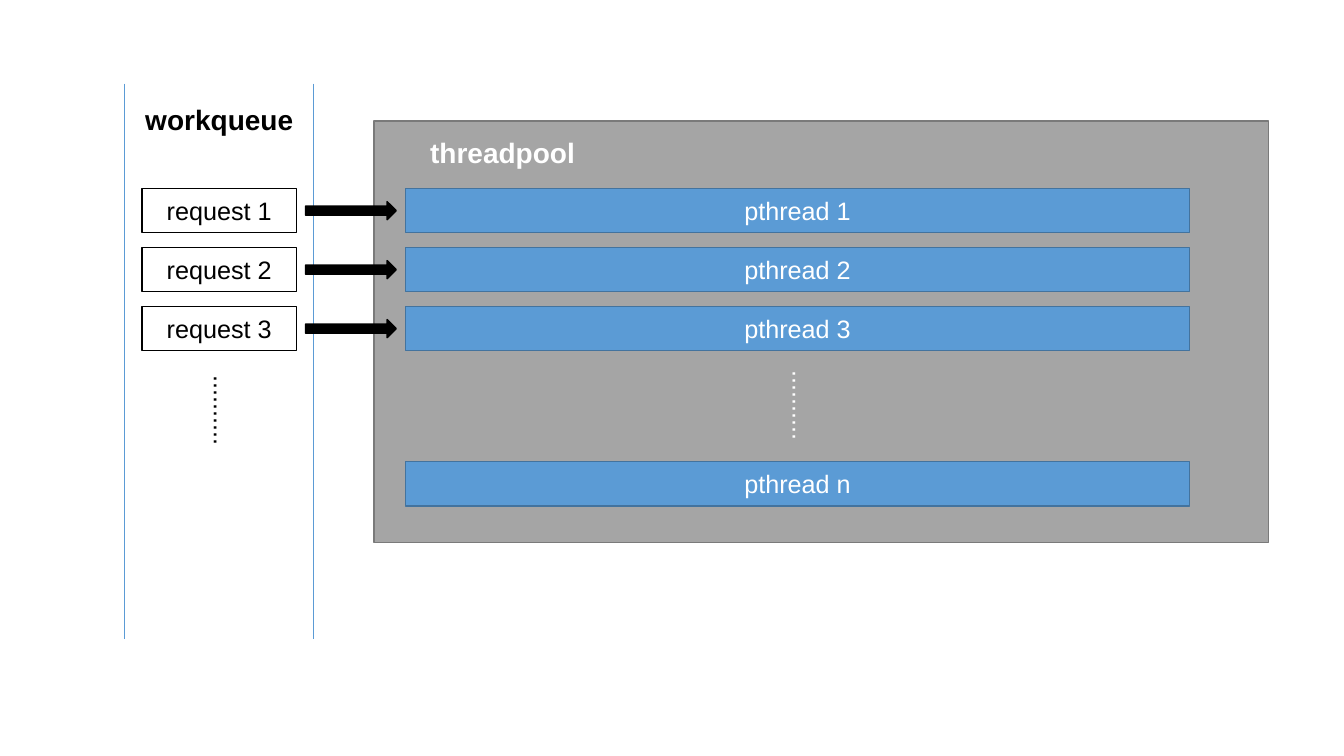
from lxml import etree
from pptx import Presentation, util as u
from pptx.dml.color import RGBColor
from pptx.enum import shapes, text
from pptx.oxml.ns import qn

RECT = shapes.MSO_SHAPE.RECTANGLE
ARROW = shapes.MSO_SHAPE.RIGHT_ARROW
BLACK, WHITE, BLUE = "000000", "FFFFFF", "5B9BD5"

deck = Presentation()
deck.slide_width, deck.slide_height = u.Inches(13.33), u.Inches(7.5)
slide = deck.slides.add_slide(deck.slide_layouts[6])


def block(kind, spot, fill, edge):
    """Add a filled, outlined preset shape; spot is left, top, width, height."""
    shape = slide.shapes.add_shape(kind, *map(u.Inches, spot))
    shape.shadow.inherit = False
    shape.fill.solid()
    shape.fill.fore_color.rgb = RGBColor.from_string(fill)
    shape.line.color.rgb = RGBColor.from_string(edge)
    shape.line.width = u.Pt(1)
    return shape


def write(shape, words, color, size=18, bold=False, down=False):
    """Write one paragraph, centred across or running down from the top."""
    frame = shape.text_frame
    frame.word_wrap = True
    para = frame.paragraphs[0]
    para.text = words
    para.alignment = text.PP_ALIGN.LEFT if down else text.PP_ALIGN.CENTER
    para.font.name, para.font.size, para.font.bold = "Arial", u.Pt(size), bold
    para.font.color.rgb = RGBColor.from_string(color)
    if down:
        shape.element.txBody.find(qn("a:bodyPr")).set("vert", "eaVert")


# Grid: one row per request and its thread
top, pitch, high = 1.87, 0.585, 0.44
rows = [top + pitch * i for i in range(3)]
queue, pool = 1.41, 4.02

# Thread pool
block(RECT, (3.71, 1.2, 8.87, 4.18), "A5A5A5", "7A7A7A")
for name, y in zip("123n", rows + [4.58]):
    bar = block(RECT, (pool, y, 7.78, high), BLUE, "43739E")
    write(bar, f"pthread {name}", WHITE)

# Work queue
for x in (1.23, 3.11):
    side = slide.shapes.add_connector(
        shapes.MSO_CONNECTOR.STRAIGHT, *map(u.Inches, (x, 0.83, x, 6.34)))
    side.line.color.rgb = RGBColor.from_string(BLUE)
    side.line.width = u.Pt(0.5)
    etree.SubElement(side.element.spPr, qn("a:effectLst"))
for i, y in enumerate(rows, 1):
    write(block(RECT, (queue, y, 1.53, high), WHITE, BLACK), f"request {i}", BLACK)
    block(ARROW, (3.03, y + 0.13, 0.9, 0.18), BLACK, BLACK)

# Titles and dots
for words, x, y, wide, color in (("threadpool", pool, 1.3, 1.93, WHITE),
                                 ("workqueue", 1.17, 0.97, 2.01, BLACK)):
    title = slide.shapes.add_textbox(*map(u.Inches, (x, y, wide, high)))
    write(title, words, color, size=20, bold=True)
for x, y, color in ((7.66, 3.58, WHITE), (1.92, 3.63, BLACK)):
    dots = slide.shapes.add_textbox(*map(u.Inches, (x, y, 0.5, 0.9)))
    write(dots, "." * 10, color, down=True)

deck.save("out.pptx")
